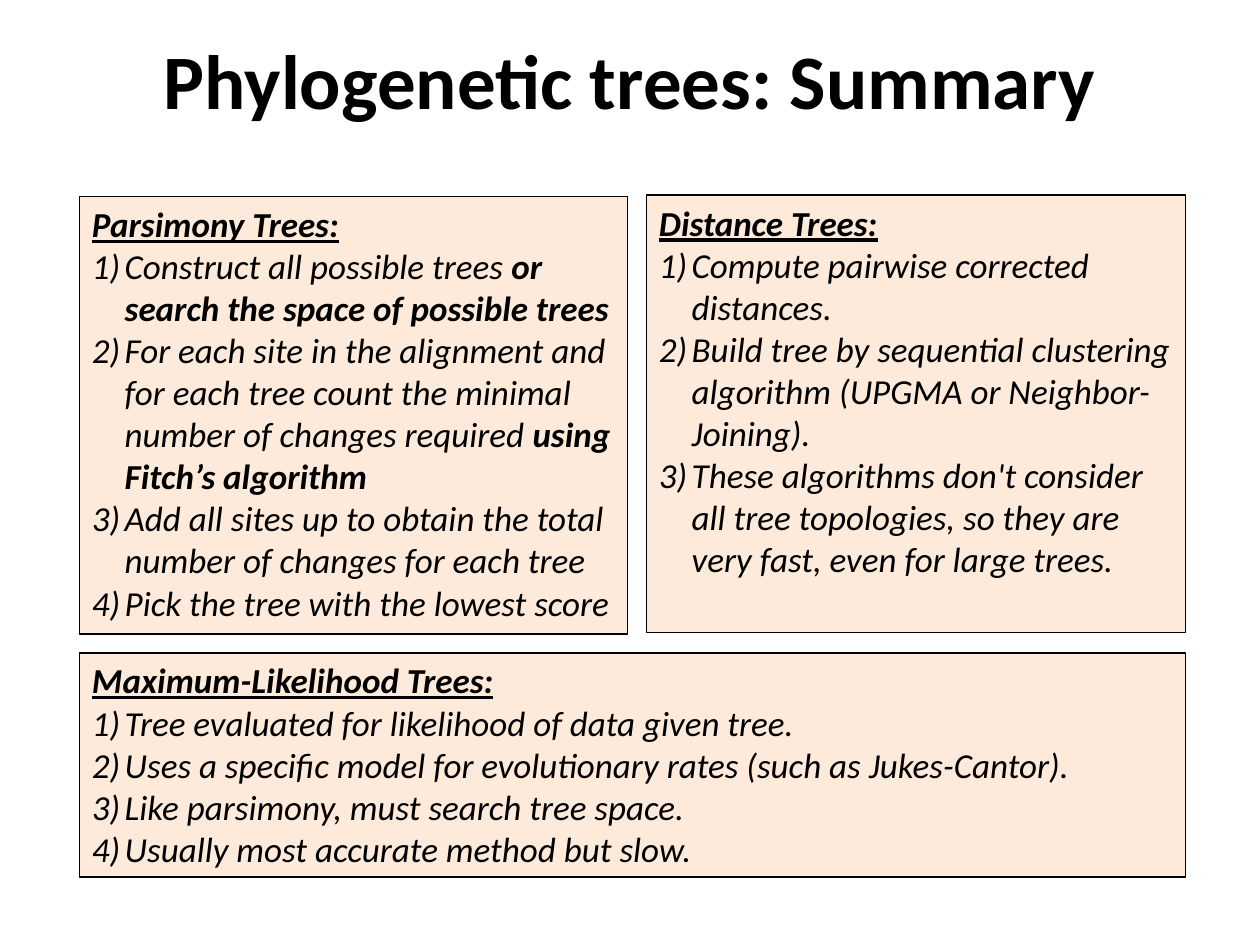
import pptx
import pptx.dml.color
import pptx.enum.text
import pptx.oxml.ns
import pptx.util
from pptx.util import Inches

BLACK = pptx.dml.color.RGBColor(0x00, 0x00, 0x00)
PEACH = pptx.dml.color.RGBColor(0xFD, 0xEA, 0xDA)
FONT = "Calibri"
LEFT, RIGHT = 0.63, 9.41

PARSIMONY = [
    [("Construct all possible trees ", False),
     ("or search the space of possible trees", True)],
    [("For each site in the alignment and for each tree count the minimal "
      "number of changes required ", False),
     ("using Fitch’s algorithm", True)],
    [("Add all sites up to obtain the total number of changes for each tree", False)],
    [("Pick the tree with the lowest score", False)],
]
DISTANCE = [
    [("Compute pairwise corrected distances.", False)],
    [("Build tree by sequential clustering algorithm (UPGMA or Neighbor-Joining).", False)],
    [("These algorithms don't consider all tree topologies, so they are very fast, "
      "even for large trees.", False)],
]
LIKELIHOOD = [
    [("Tree evaluated for likelihood of data given tree.", False)],
    [("Uses a specific model for evolutionary rates (such as Jukes-Cantor).", False)],
    [("Like parsimony, must search tree space.", False)],
    [("Usually most accurate method but slow.", False)],
]


def place(sp, box):
    """Move a shape to a (left, top, width, height) box in inches."""
    sp.left, sp.top, sp.width, sp.height = (Inches(v) for v in box)


def set_font(font, size):
    """Apply the slide's typeface and text colour."""
    font.name = FONT
    font.size = pptx.util.Pt(size)
    font.color.rgb = BLACK


def set_bullet(p, numbered):
    """Give a paragraph a hanging 1) number, or no bullet at all."""
    pPr = p._p.get_or_add_pPr()
    hang = Inches(0.26) if numbered else 0
    pPr.set("marL", str(hang))
    pPr.set("indent", str(-hang))
    bullet = pptx.oxml.parse_xml(
        '<a:%s %s/>' % ('buAutoNum type="arabicParenR"' if numbered else "buNone",
                        pptx.oxml.ns.nsdecls("a")))
    pPr.insert_element_before(bullet, "a:tabLst", "a:defRPr", "a:extLst")


def add_title(sp, box, text):
    """Fill the title placeholder with centred bold text."""
    place(sp, box)
    tf = sp.text_frame
    tf.text = text
    tf.vertical_anchor = pptx.enum.text.MSO_ANCHOR.MIDDLE
    p = tf.paragraphs[0]
    p.alignment = pptx.enum.text.PP_ALIGN.CENTER
    set_font(p.font, 44)
    p.font.bold = True


def add_method(sp, box, heading, steps):
    """Fill a body placeholder with a heading and numbered steps."""
    place(sp, box)
    sp.fill.solid()
    sp.fill.fore_color.rgb = PEACH
    sp.line.color.rgb = BLACK
    sp.line.width = pptx.util.Pt(1)
    tf = sp.text_frame
    tf.word_wrap = True
    tf.auto_size = pptx.enum.text.MSO_AUTO_SIZE.NONE
    tf.vertical_anchor = pptx.enum.text.MSO_ANCHOR.TOP
    for i, runs in enumerate([[(heading, True)]] + steps):
        p = tf.add_paragraph() if i else tf.paragraphs[0]
        p.space_before = pptx.util.Pt(0)
        set_font(p.font, 20)
        p.font.italic = True
        p.font.underline = i == 0
        set_bullet(p, numbered=i > 0)
        for text, bold in runs:
            r = p.add_run()
            r.text = text
            r.font.bold = bold


def main():
    """Build the summary slide and save it."""
    prs = pptx.Presentation()
    prs.slide_width, prs.slide_height = Inches(10), Inches(7.5)
    s = prs.slides.add_slide(prs.slide_layouts.get_by_name("Comparison"))
    title, left, right, bottom, spare = list(s.placeholders)[:5]
    spare._element.getparent().remove(spare._element)

    add_title(title, (0, 0, 10, 1.25), "Phylogenetic trees: Summary")
    add_method(left, (LEFT, 1.56, 4.35, 3.47), "Parsimony Trees:", PARSIMONY)
    add_method(right, (5.13, 1.55, RIGHT - 5.13, 3.47), "Distance Trees:", DISTANCE)
    add_method(bottom, (LEFT, 5.18, RIGHT - LEFT, 1.78),
               "Maximum-Likelihood Trees:", LIKELIHOOD)
    prs.save("out.pptx")


if __name__ == "__main__":
    main()
